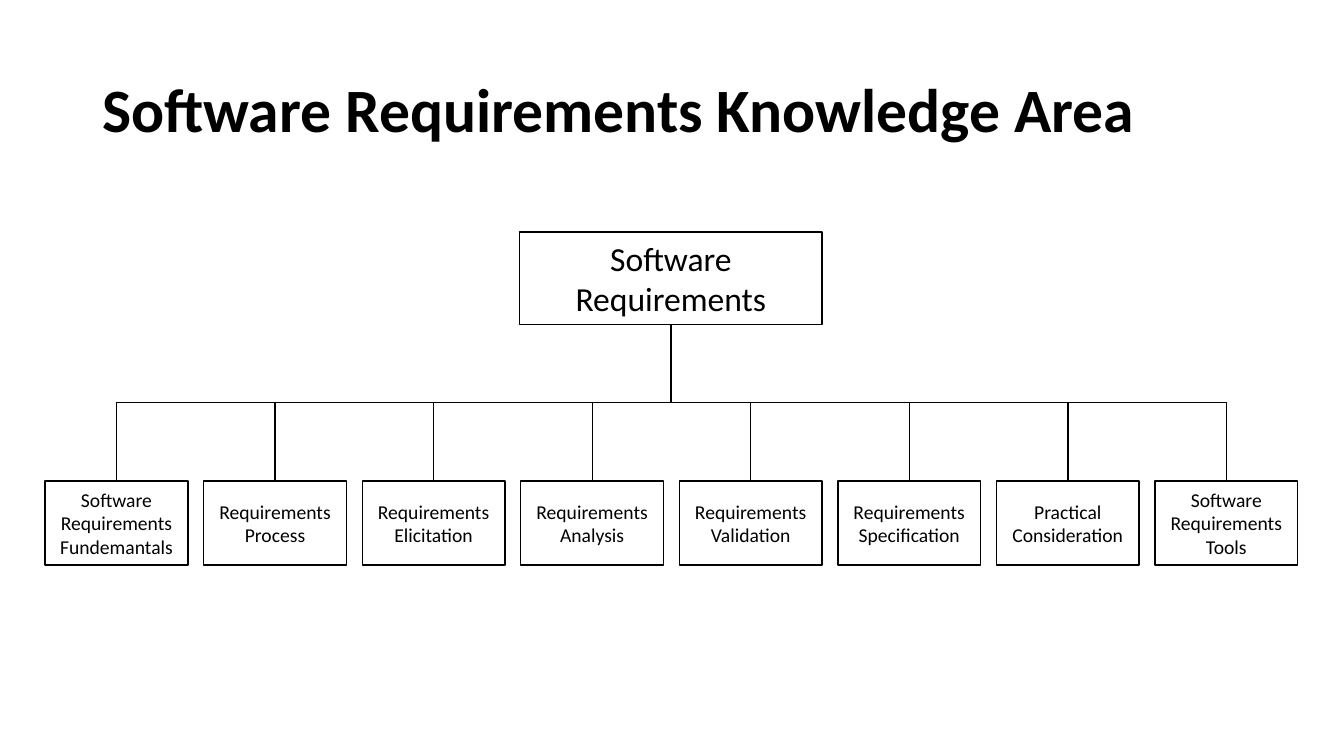
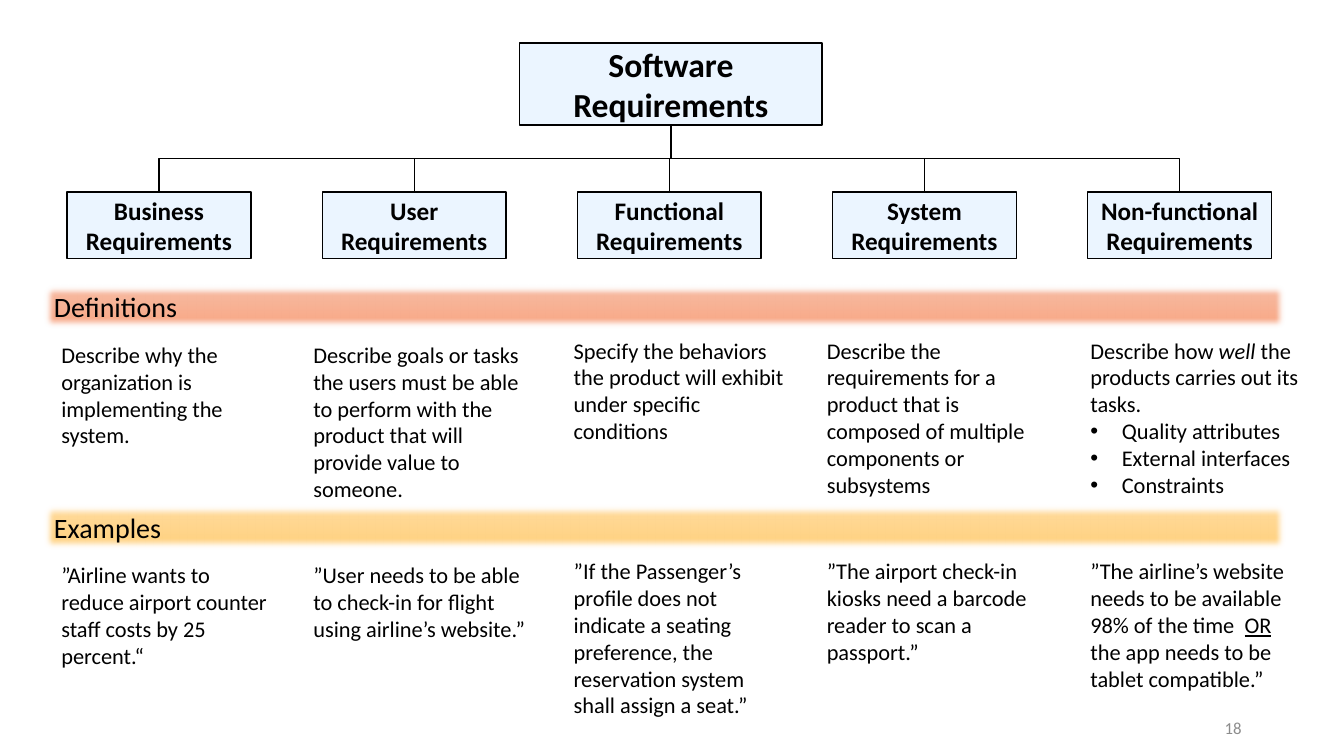
import pptx
import pptx.util
import pptx.dml.color
import pptx.enum.shapes
import pptx.enum.text
import pptx.oxml.ns
import lxml.etree

PIXEL = 9525
FONT = "Calibri"
BLACK, WHITE, PALE_BLUE, GREY = "000000", "FFFFFF", "EBF5FF", "8C8C8C"
ALIGN = pptx.enum.text.PP_ALIGN
ANCHOR = pptx.enum.text.MSO_ANCHOR

KNOWLEDGE_AREAS = [
    "Software Requirements Fundemantals",
    "Requirements Process",
    "Requirements Elicitation",
    "Requirements Analysis",
    "Requirements Validation",
    "Requirements Specification",
    "Practical Consideration",
    "Software Requirements Tools",
]
REQUIREMENT_TYPES = [
    "Business Requirements",
    "User Requirements",
    "Functional Requirements",
    "System Requirements",
    "Non-functional Requirements",
]
COLUMN_PLACES = [(49, 4), (289, 4), (537, 0), (778, 0), (1029, 0)]
DEFINITIONS = [
    ["Describe why the organization is implementing the system."],
    ["Describe goals or tasks the users must be able to perform with the product "
     "that will provide value to someone."],
    ["Specify the behaviors the product will exhibit under specific conditions"],
    ["Describe the requirements for a product that is composed of multiple "
     "components or subsystems"],
    [[("Describe how ", None), ("well", "italic"),
      (" the products carries out its tasks.", None)],
     "• Quality attributes", "• External interfaces", "• Constraints"],
]
EXAMPLES = [
    ["”Airline wants to reduce airport counter staff costs by 25 percent.“"],
    ["”User needs to be able to check-in for flight using airline’s website.”"],
    ["”If the Passenger’s profile does not indicate a seating preference, "
     "the reservation system shall assign a seat.”"],
    ["”The airport check-in kiosks need a barcode reader to scan a passport.”"],
    [[("”The airline’s website needs to be available 98% of the time  ", None),
      ("OR", "underline"), (" the app needs to be tablet compatible.”", None)]],
]


def px(length):
    """Turn whole pixels into EMU."""
    return pptx.util.Emu(length * PIXEL)


def color(value):
    """Turn a hex string into a colour."""
    return pptx.dml.color.RGBColor.from_string(value)


def add_element(parent, tag, **attributes):
    """Append a drawing element to a parent element."""
    element = lxml.etree.SubElement(parent, pptx.oxml.ns.qn(tag))
    for name, value in attributes.items():
        element.set(name, str(value))
    return element


def add_bullet(paragraph):
    """Give a paragraph a hanging round bullet."""
    properties = paragraph._p.get_or_add_pPr()
    properties.set("marL", str(px(30)))
    properties.set("indent", str(-px(30)))
    add_element(properties, "a:buFont", typeface="Arial")
    add_element(properties, "a:buChar", char="•")


def write(shape, paragraphs, size, bold=False, text_color=BLACK,
          align=ALIGN.LEFT, anchor=ANCHOR.TOP, spacing=None):
    """Fill a shape with paragraphs of plain or emphasised text."""
    frame = shape.text_frame
    frame.word_wrap = True
    frame.vertical_anchor = anchor
    for index, content in enumerate(paragraphs):
        paragraph = frame.paragraphs[0] if index == 0 else frame.add_paragraph()
        paragraph.alignment = align
        if spacing:
            paragraph.line_spacing = spacing
        segments = [(content, None)] if isinstance(content, str) else content
        if segments[0][0].startswith("• "):
            add_bullet(paragraph)
            segments = [(content[2:], None)]
        for text, emphasis in segments:
            run = paragraph.add_run()
            run.text = text
            run.font.name = FONT
            run.font.size = pptx.util.Pt(size)
            run.font.bold = bold
            run.font.color.rgb = color(text_color)
            if emphasis:
                setattr(run.font, emphasis, True)


def add_text(slide, box, paragraphs, size, **style):
    """Place a text box."""
    write(slide.shapes.add_textbox(*map(px, box)), paragraphs, size, **style)


def add_rectangle(slide, box, line_color, line_width):
    """Place a rectangle with an outline and no shadow."""
    shape = slide.shapes.add_shape(
        pptx.enum.shapes.MSO_SHAPE.RECTANGLE, *map(px, box))
    shape.shadow.inherit = False
    shape.line.color.rgb = color(line_color)
    shape.line.width = pptx.util.Pt(line_width)
    return shape


def add_node(slide, box, label, size, fill, bold):
    """Place one box of a tree."""
    shape = add_rectangle(slide, box, BLACK, 1)
    shape.fill.solid()
    shape.fill.fore_color.rgb = color(fill)
    write(shape, [label], size, bold, align=ALIGN.CENTER, anchor=ANCHOR.MIDDLE)
    return shape


def connect(slide, parent, child):
    """Join a parent's bottom to a child's top by a line that bends halfway."""
    start_x, start_y = parent.left + parent.width // 2, parent.top + parent.height
    end_x, end_y = child.left + child.width // 2, child.top
    connector = slide.shapes.add_connector(
        pptx.enum.shapes.MSO_CONNECTOR.ELBOW, start_x, start_y, end_x, end_y)
    connector.begin_connect(parent, 2)
    connector.end_connect(child, 0)
    drop, reach = end_y - start_y, abs(end_x - start_x)
    connector.left = (start_x + end_x - drop) // 2
    connector.top = (start_y + end_y - reach) // 2
    connector.width, connector.height = drop, reach
    rightward = end_x > start_x
    transform = connector.element.spPr.find(pptx.oxml.ns.qn("a:xfrm"))
    transform.set("rot", "16200000" if rightward else "5400000")
    transform.set("flipH", "1" if rightward else "0")
    connector.line.color.rgb = color(BLACK)
    connector.line.width = pptx.util.Pt(1)
    add_element(connector.element.spPr, "a:effectLst")


def add_tree(slide, root_box, first_box, pitch, labels, size, fill, bold=False):
    """Place a root box above an evenly spaced row of joined boxes."""
    root = add_node(slide, root_box, "Software Requirements", 24, fill, bold)
    left, top, width, height = first_box
    for index, label in enumerate(labels):
        box = (left + index * pitch, top, width, height)
        connect(slide, root, add_node(slide, box, label, size, fill, bold))


def add_band(slide, box, label, line_color, gradient):
    """Place a soft-edged gradient band with a heading."""
    shape = add_rectangle(slide, box, line_color, 0.5)
    shape.fill.gradient()
    shape.fill.gradient_angle = 270
    for stop, stop_color in zip(shape.fill.gradient_stops, gradient):
        stop.color.rgb = color(stop_color)
    effects = shape.element.spPr.find(pptx.oxml.ns.qn("a:effectLst"))
    add_element(effects, "a:softEdge", rad=63500)
    write(shape, [label], 20)


def add_section(slide, top, label, line_color, gradient, texts):
    """Place a heading band with one text per column below it."""
    for (left, shift), paragraphs in zip(COLUMN_PLACES, texts):
        box = (left, top + 45 + shift, 223, 165)
        add_text(slide, box, paragraphs, 16)
    add_band(slide, (42, top, 1182, 42), label, line_color, gradient)


def build_knowledge_area(slide):
    """Build the slide with the knowledge area tree."""
    add_text(slide, (88, 38, 1104, 139), ["Software Requirements Knowledge Area"],
             44, bold=True, anchor=ANCHOR.MIDDLE, spacing=0.9)
    add_tree(slide, (495, 221, 288, 88), (43, 458, 136, 80), 151,
             KNOWLEDGE_AREAS, 14, WHITE)


def build_requirement_types(slide):
    """Build the slide with the types, their definitions and examples."""
    add_text(slide, (904, 674, 288, 38), ["18"], 12, text_color=GREY,
             align=ALIGN.RIGHT, anchor=ANCHOR.MIDDLE)
    add_tree(slide, (495, 41, 288, 78), (64, 183, 175, 63), 243,
             REQUIREMENT_TYPES, 18, PALE_BLUE, bold=True)
    add_section(slide, 271, "Definitions", "ED7D31", ("F7BDA5", "F8A582"), DEFINITIONS)
    add_section(slide, 481, "Examples", "FFC000", ("FFDB9E", "FFD07C"), EXAMPLES)


def main():
    """Build and save the presentation."""
    presentation = pptx.Presentation()
    presentation.slide_width, presentation.slide_height = px(1280), px(720)
    for build in (build_knowledge_area, build_requirement_types):
        build(presentation.slides.add_slide(presentation.slide_layouts[6]))
    presentation.save("out.pptx")


if __name__ == "__main__":
    main()
